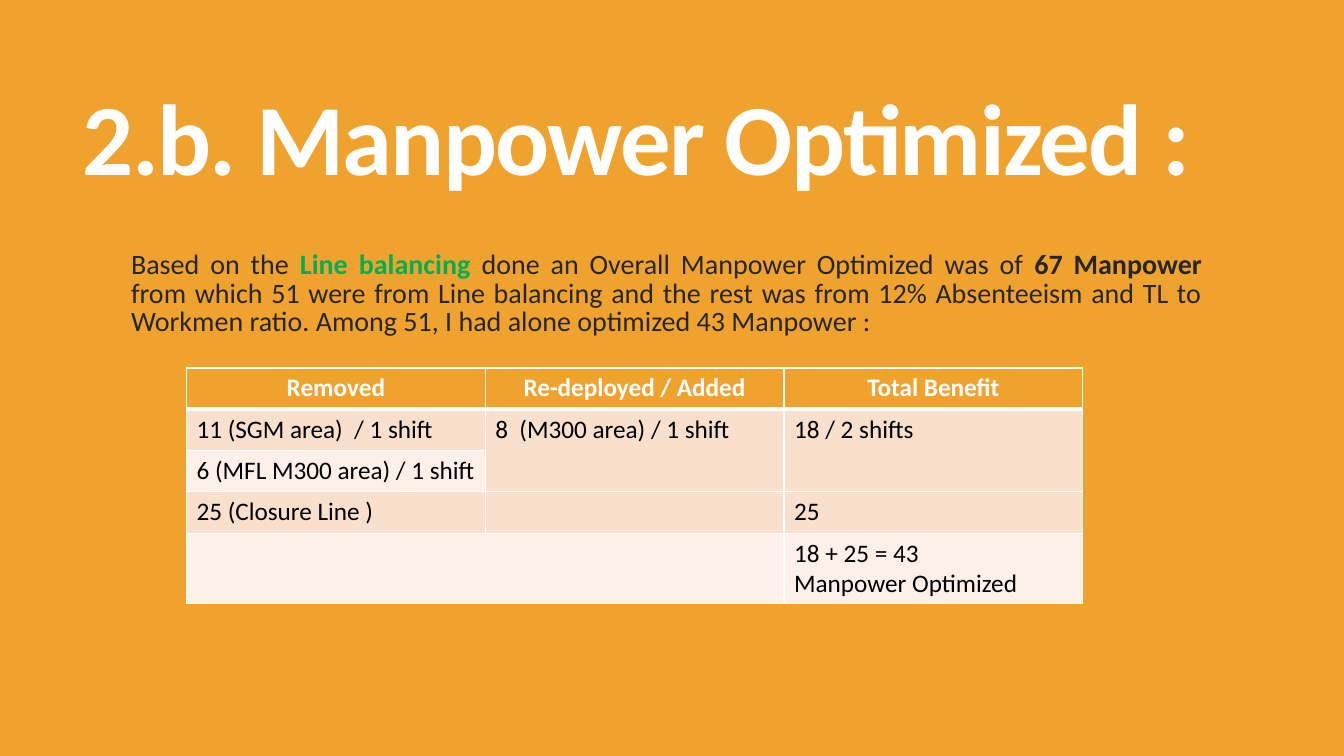
from dataclasses import dataclass

from lxml.etree import SubElement
from pptx import Presentation
from pptx.dml.color import RGBColor
from pptx.enum.text import MSO_ANCHOR, MSO_AUTO_SIZE, PP_ALIGN
from pptx.oxml.ns import qn
from pptx.slide import Slide
from pptx.table import Table, _Cell
from pptx.text.text import _Paragraph
from pptx.util import Inches, Pt

ORANGE = RGBColor(0xF0, 0xA2, 0x2E)
WHITE = RGBColor(0xFF, 0xFF, 0xFF)
BLACK = RGBColor(0x00, 0x00, 0x00)
DARK_GREY = RGBColor(0x26, 0x26, 0x26)
GREEN = RGBColor(0x00, 0xB0, 0x50)
PEACH = RGBColor(0xF9, 0xE0, 0xCD)
PALE_PEACH = RGBColor(0xFC, 0xF0, 0xE8)


@dataclass(frozen=True)
class Phrase:
    text: str
    size: int
    color: RGBColor
    bold: bool = False


@dataclass(frozen=True)
class Merge:
    first: tuple[int, int]
    last: tuple[int, int]


SUMMARY = [
    Phrase("Based on the ", 20, DARK_GREY),
    Phrase("Line balancing ", 20, GREEN, True),
    Phrase("done an Overall Manpower Optimized was of", 20, DARK_GREY),
    Phrase(" 67 Manpower ", 20, DARK_GREY, True),
    Phrase("from which 51 were from Line balancing and the rest was from 12% "
           "Absenteeism and TL to Workmen ratio. Among 51, I had alone optimized "
           "43 Manpower :", 20, DARK_GREY),
]

MANPOWER_ROWS = [
    ["Removed", "Re-deployed / Added", "Total Benefit"],
    ["11 (SGM area)  / 1 shift", "8  (M300 area) / 1 shift", "18 / 2 shifts"],
    ["6 (MFL M300 area) / 1 shift", "", ""],
    ["25 (Closure Line )", "", "25"],
    ["", "", "18 + 25 = 43\nManpower Optimized"],
]
ROW_HEIGHTS = [0.41, 0.41, 0.41, 0.41, 0.7]
MERGES = [Merge((1, 1), (2, 1)), Merge((1, 2), (2, 2)), Merge((4, 0), (4, 1))]


def add_phrase(paragraph: _Paragraph, phrase: Phrase) -> None:
    run = paragraph.add_run()
    run.text = phrase.text
    font_values = {"name": "Calibri", "size": Pt(phrase.size), "bold": phrase.bold}
    for attribute, value in font_values.items():
        setattr(run.font, attribute, value)
    run.font.color.rgb = phrase.color


def add_heading(slide: Slide) -> None:
    heading = slide.shapes.title
    heading.left, heading.top = Inches(0.72), Inches(0.55)
    heading.width, heading.height = Inches(11.78), Inches(1.81)
    frame_values = {"vertical_anchor": MSO_ANCHOR.MIDDLE, "word_wrap": True,
                    "auto_size": MSO_AUTO_SIZE.NONE}
    for attribute, value in frame_values.items():
        setattr(heading.text_frame, attribute, value)
    paragraph = heading.text_frame.paragraphs[0]
    paragraph.alignment = PP_ALIGN.LEFT
    paragraph.line_spacing = 0.8
    add_phrase(paragraph, Phrase("2.b. Manpower Optimized :", 72, WHITE, True))
    paragraph.runs[0]._r.get_or_add_rPr().set("spc", "-120")


def add_summary(slide: Slide) -> None:
    summary = slide.shapes.add_textbox(Inches(1.1), Inches(2.45),
                                       Inches(10.92), Inches(1.04))
    summary.text_frame.word_wrap = True
    summary.text_frame.margin_left = Inches(0.2)
    paragraph = summary.text_frame.paragraphs[0]
    paragraph.alignment = PP_ALIGN.JUSTIFY
    paragraph.line_spacing = 0.85
    for phrase in SUMMARY:
        add_phrase(paragraph, phrase)


def set_borders(cell: _Cell, row: int) -> None:
    """Draw white cell borders, with a thick rule below the header row."""
    widths = {"a:lnL": 1, "a:lnR": 1,
              "a:lnT": 3 if row == 1 else 1, "a:lnB": 3 if row == 0 else 1}
    properties = cell._tc.get_or_add_tcPr()
    for tag, width in widths.items():
        line = SubElement(properties, qn(tag), w=str(Pt(width)))
        fill = SubElement(line, qn("a:solidFill"))
        SubElement(fill, qn("a:srgbClr"), val=str(WHITE))


def format_cell(cell: _Cell, text: str, row: int) -> None:
    is_header = row == 0
    set_borders(cell, row)
    cell.fill.solid()
    band = PEACH if row % 2 else PALE_PEACH
    cell.fill.fore_color.rgb = ORANGE if is_header else band
    for index, line in enumerate(text.split("\n") if text else []):
        frame = cell.text_frame
        paragraph = frame.add_paragraph() if index else frame.paragraphs[0]
        paragraph.alignment = PP_ALIGN.CENTER if is_header else PP_ALIGN.LEFT
        add_phrase(paragraph, Phrase(line, 18, WHITE if is_header else BLACK, is_header))


def add_manpower_table(slide: Slide) -> None:
    table: Table = slide.shapes.add_table(
        len(MANPOWER_ROWS), len(MANPOWER_ROWS[0]), Inches(1.85), Inches(3.65),
        Inches(8.89), Inches(sum(ROW_HEIGHTS))).table
    for row, texts in enumerate(MANPOWER_ROWS):
        table.rows[row].height = Inches(ROW_HEIGHTS[row])
        for column, text in enumerate(texts):
            format_cell(table.cell(row, column), text, row)
    for merge in MERGES:
        table.cell(*merge.first).merge(table.cell(*merge.last))


def main() -> None:
    presentation = Presentation()
    presentation.slide_width, presentation.slide_height = Inches(13.33), Inches(7.5)
    slide = presentation.slides.add_slide(presentation.slide_layouts[5])
    slide.background.fill.solid()
    slide.background.fill.fore_color.rgb = ORANGE
    add_heading(slide)
    add_summary(slide)
    add_manpower_table(slide)
    presentation.save("out.pptx")


if __name__ == "__main__":
    main()
